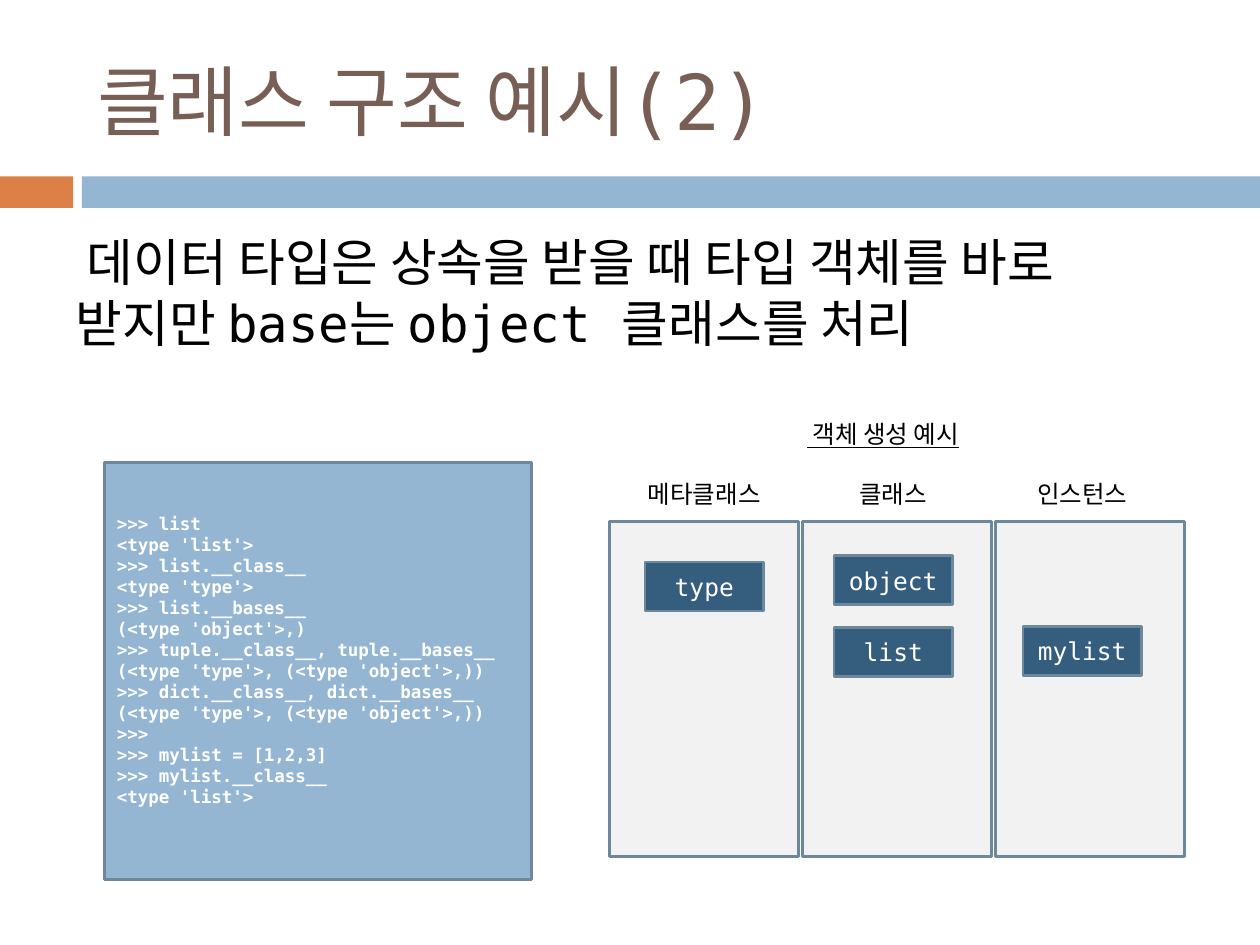
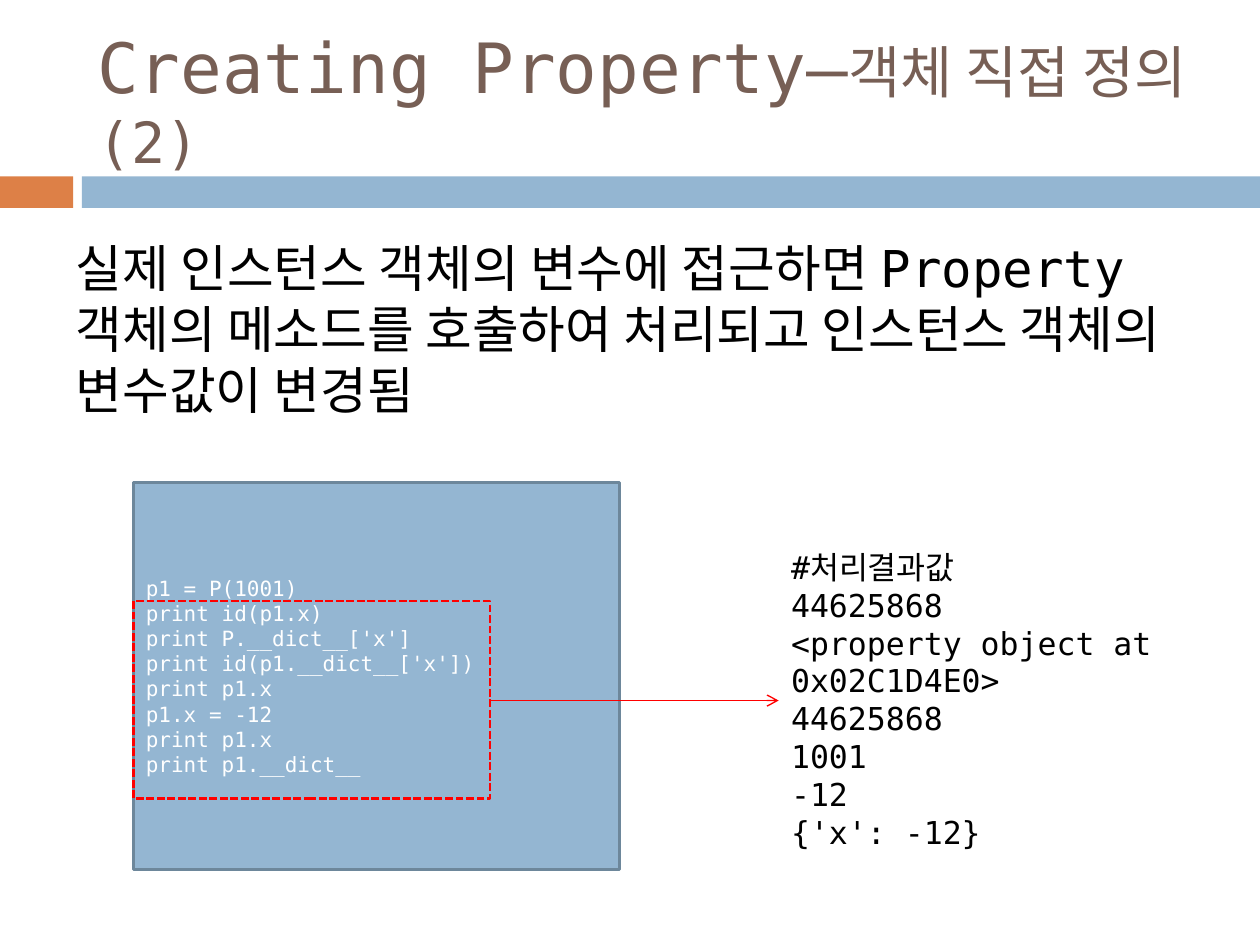
from lxml import etree
from pptx import Presentation
from pptx import util as u
from pptx.dml.color import RGBColor
from pptx.enum import dml, shapes, text
from pptx.oxml.ns import qn

FONT = "DejaVu Sans Mono"
BLACK = RGBColor(0x00, 0x00, 0x00)
WHITE = RGBColor(0xFF, 0xFF, 0xFF)
RED = RGBColor(0xFF, 0x00, 0x00)
BROWN = RGBColor(0x77, 0x5F, 0x55)
ORANGE = RGBColor(0xDD, 0x80, 0x47)
LIGHT_BLUE = RGBColor(0x94, 0xB6, 0xD2)
DARK_BLUE = RGBColor(0x35, 0x5D, 0x7E)
OUTLINE = RGBColor(0x6D, 0x87, 0x9B)
PALE_GRAY = RGBColor(0xF2, 0xF2, 0xF2)
LEFT, CENTER = text.PP_ALIGN.LEFT, text.PP_ALIGN.CENTER
TOP, MIDDLE = text.MSO_ANCHOR.TOP, text.MSO_ANCHOR.MIDDLE

TYPE_SESSION = """>>> list
<type 'list'>
>>> list.__class__
<type 'type'>
>>> list.__bases__
(<type 'object'>,)
>>> tuple.__class__, tuple.__bases__
(<type 'type'>, (<type 'object'>,))
>>> dict.__class__, dict.__bases__
(<type 'type'>, (<type 'object'>,))
>>>
>>> mylist = [1,2,3]
>>> mylist.__class__
<type 'list'>"""

PROPERTY_CODE = """p1 = P(1001)
print id(p1.x)
print P.__dict__['x']
print id(p1.__dict__['x'])
print p1.x
p1.x = -12
print p1.x
print p1.__dict__"""

PROPERTY_RESULT = """#처리결과값
44625868
<property object at 0x02C1D4E0>
44625868
1001
-12
{'x': -12}"""


def write(frame, content, size=14, color=BLACK, align=LEFT, anchor=TOP,
          bold=False, underline=False, bullet=True):
    """Fill a text frame; content is a string or one paragraph of (text, size) runs."""
    frame.word_wrap = True
    frame.auto_size = text.MSO_AUTO_SIZE.NONE
    frame.vertical_anchor = anchor
    if isinstance(content, str):
        lines = [[(line, size)] for line in content.split("\n")]
    else:
        lines = [content]
    for index, line in enumerate(lines):
        paragraph = frame.add_paragraph() if index else frame.paragraphs[0]
        paragraph.alignment = align
        paragraph.space_before = u.Pt(0)
        if not bullet:
            properties = paragraph._p.get_or_add_pPr()
            properties.set("marL", "0")
            properties.set("indent", "0")
            etree.SubElement(properties, qn("a:buNone"))
        for words, points in line:
            run = paragraph.add_run()
            run.text = words
            font = run.font
            font.name, font.size = FONT, u.Pt(points)
            font.bold, font.underline = bold, underline
            font.color.rgb = color


class Deck:
    """Hold the shared style and the current slide."""

    def __init__(self):
        self.presentation = Presentation()
        self.presentation.slide_width = u.Inches(10)
        self.presentation.slide_height = u.Inches(7.5)
        self.slide = None

    def place(self, shape, box):
        shape.left, shape.top, shape.width, shape.height = map(u.Inches, box)

    def new_slide(self, title, body, body_top, body_height):
        self.slide = self.presentation.slides.add_slide(self.presentation.slide_layouts[1])
        self.rectangle((0, 1.4, 0.58, 0.25), ORANGE)
        self.rectangle((0.65, 1.4, 9.35, 0.25), LIGHT_BLUE)
        heading, content = self.slide.placeholders
        self.place(heading, (0.67, 0.25, 8.92, 1.08))
        write(heading.text_frame, title, size=44, color=BROWN, anchor=MIDDLE)
        self.place(content, (0.5, body_top, 9, body_height))
        write(content.text_frame, body, size=29, bullet=False)

    def rectangle(self, box, fill=None, line=None, dash=None):
        shape = self.slide.shapes.add_shape(
            shapes.MSO_SHAPE.RECTANGLE, *map(u.Inches, box))
        shape.shadow.inherit = False
        if fill is None:
            shape.fill.background()
        else:
            shape.fill.solid()
            shape.fill.fore_color.rgb = fill
        if line is None:
            shape.line.fill.background()
        else:
            shape.line.color.rgb = line
            shape.line.width = u.Pt(1.5)
        if dash is not None:
            shape.line.dash_style = dash
        return shape

    def code(self, box, content, **style):
        shape = self.rectangle(box, LIGHT_BLUE, OUTLINE)
        write(shape.text_frame, content, color=WHITE, anchor=MIDDLE, **style)
        return shape

    def chip(self, left, top, name):
        shape = self.rectangle((left, top, 0.94, 0.39), DARK_BLUE, OUTLINE)
        write(shape.text_frame, name, color=WHITE, align=CENTER, anchor=MIDDLE)

    def label(self, box, content, **style):
        shape = self.slide.shapes.add_textbox(*map(u.Inches, box))
        write(shape.text_frame, content, **style)

    def arrow(self, start, end):
        connector = self.slide.shapes.add_connector(
            shapes.MSO_CONNECTOR.STRAIGHT, *map(u.Inches, start + end))
        connector.line.color.rgb = RED
        connector.line.width = u.Pt(0.79)
        etree.SubElement(connector.line._get_or_add_ln(), qn("a:tailEnd"), type="arrow")
        etree.SubElement(connector._element.spPr, qn("a:effectLst"))


def class_structure(deck):
    """Show built-in types beside the metaclass, class and instance columns."""
    deck.new_slide("클래스 구조 예시(2)",
                   " 데이터 타입은 상속을 받을 때 타입 객체를 바로 받지만 base는 object 클래스를 처리",
                   1.78, 1.3)
    session = deck.code((0.83, 3.67, 3.39, 3.31), TYPE_SESSION, size=10, bold=True)
    session.text_frame.margin_bottom = u.Inches(0.22)
    deck.label((5.71, 3.28, 2.6, 0.34), " 객체 생성 예시", align=CENTER, underline=True)
    columns = (
        ("메타클래스", (("type", 4.46),)),
        ("클래스", (("object", 4.41), ("list", 4.98))),
        ("인스턴스", (("mylist", 4.97),)),
    )
    for index, (heading, chips) in enumerate(columns):
        deck.rectangle((4.84 + 1.53 * index, 4.14, 1.5, 2.66), PALE_GRAY, OUTLINE)
        left = 5 + 1.5 * index
        deck.label((left, 3.75, 1.18, 0.34), heading, align=CENTER)
        for name, top in chips:
            deck.chip(left + 0.12, top, name)


def property_definition(deck):
    """Show property access code and its printed result."""
    deck.new_slide([("Creating Property–", 39.6), ("객체 직접 정의(2)", 32.4)],
                   "실제 인스턴스 객체의 변수에 접근하면 Property 객체의 메소드를 호출하여 "
                   "처리되고 인스턴스 객체의 변수값이 변경됨", 1.83, 1.61)
    deck.code((1.06, 3.83, 3.86, 3.07), PROPERTY_CODE, size=12)
    deck.label((6.18, 4.3, 3.31, 2.52), PROPERTY_RESULT, size=18)
    deck.rectangle((1.06, 4.77, 2.83, 1.57), line=RED, dash=dml.MSO_LINE.SQUARE_DOT)
    deck.arrow((3.9, 5.56), (6.18, 5.56))


def main():
    deck = Deck()
    class_structure(deck)
    property_definition(deck)
    deck.presentation.save("out.pptx")


if __name__ == "__main__":
    main()
